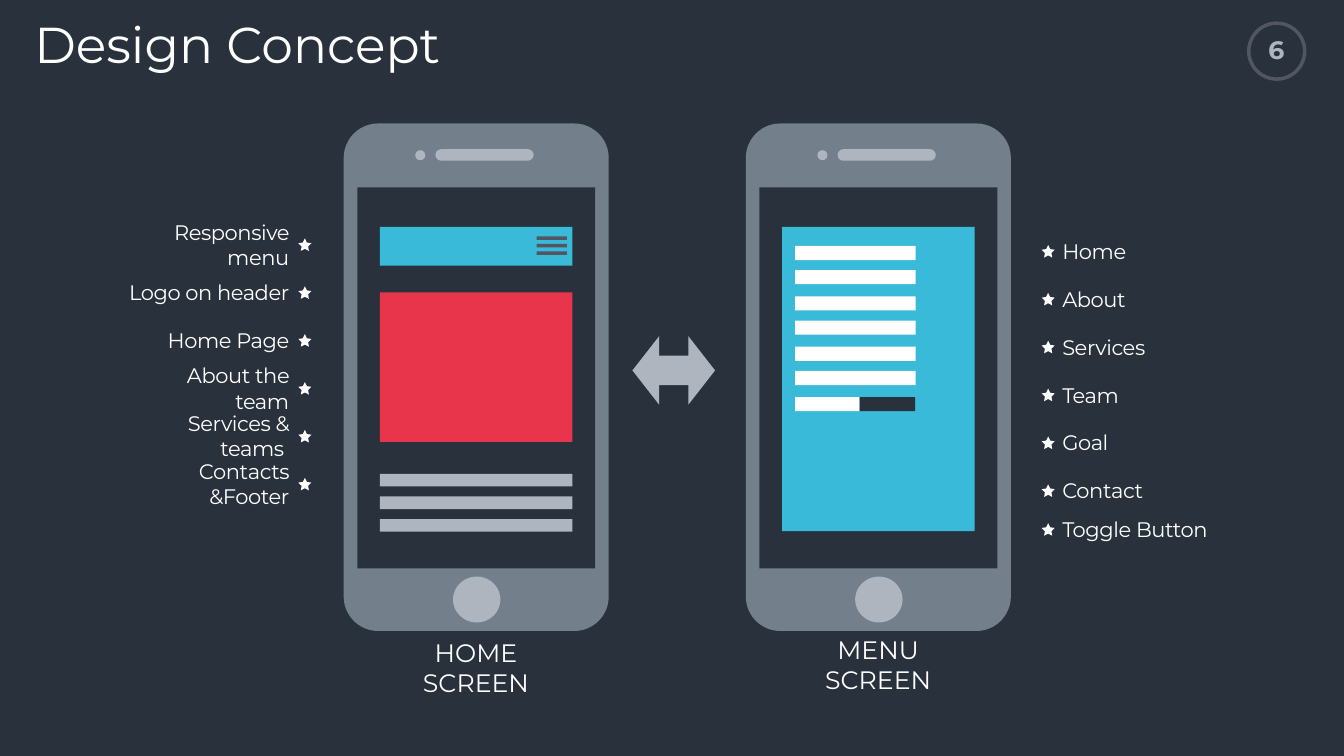
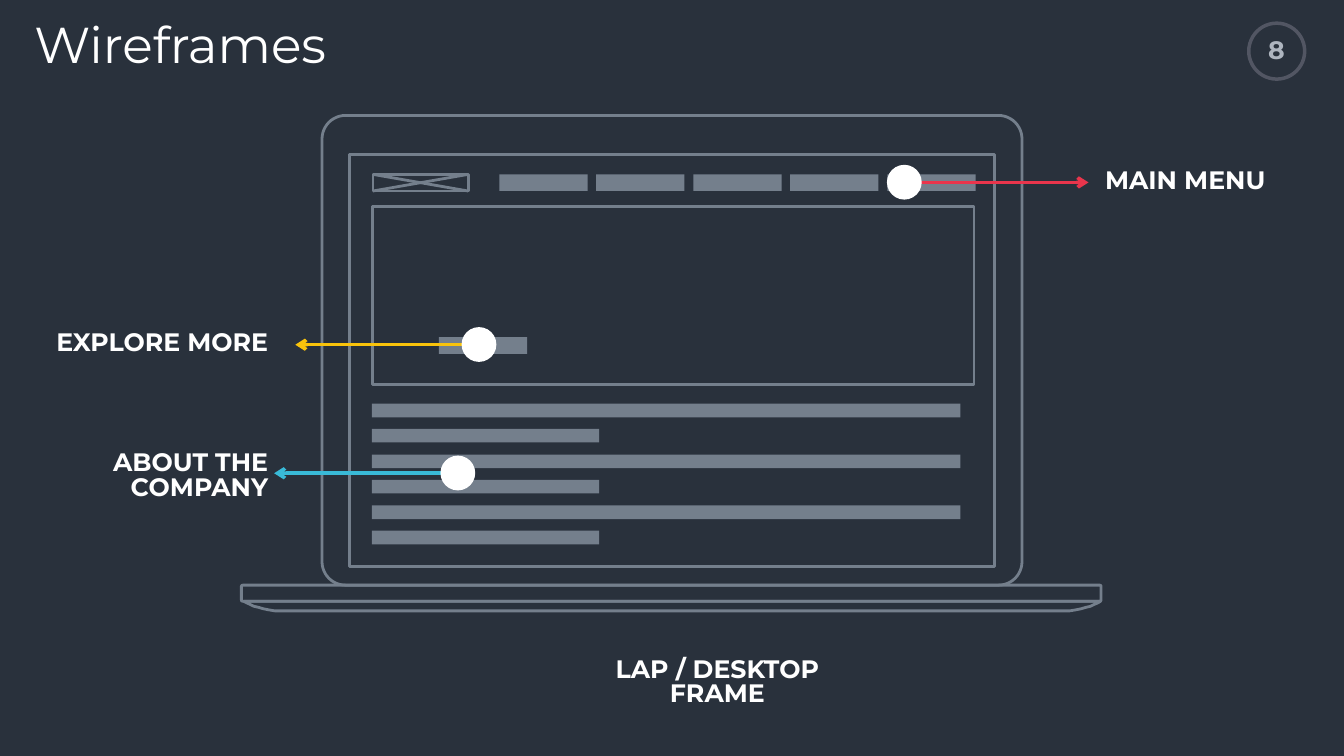
from lxml.etree import SubElement
from pptx import Presentation
from pptx.dml.color import RGBColor
from pptx.enum.shapes import MSO_CONNECTOR, MSO_SHAPE
from pptx.enum.text import MSO_ANCHOR, MSO_AUTO_SIZE, PP_ALIGN
from pptx.oxml.ns import qn
from pptx.util import Pt

EMU_PER_PX = 9144
FONT = "Montserrat"
NIGHT = RGBColor(0x29, 0x31, 0x3C)
SLATE = RGBColor(0x74, 0x7F, 0x8C)
SILVER = RGBColor(0xAE, 0xB5, 0xBF)
RING = RGBColor(0x52, 0x56, 0x63)
WHITE = RGBColor(0xFF, 0xFF, 0xFF)
RED = RGBColor(0xE9, 0x35, 0x4C)
BLUE = RGBColor(0x39, 0xBA, 0xD8)
YELLOW = RGBColor(0xF9, 0xC3, 0x0B)


def px(*lengths):
    return [length * EMU_PER_PX for length in lengths]


def style_shape(shape, fill=None, line=None, weight=4):
    shape.shadow.inherit = False
    if fill is None:
        shape.fill.background()
    else:
        shape.fill.solid()
        shape.fill.fore_color.rgb = fill
    if line is None:
        shape.line.fill.background()
    else:
        shape.line.color.rgb = line
        shape.line.width = Pt(weight)


def add_box(shapes, left, top, width, height, kind=MSO_SHAPE.RECTANGLE, adjustments=(), **style):
    shape = shapes.add_shape(kind, *px(left, top, width, height))
    for index, value in enumerate(adjustments):
        shape.adjustments[index] = value
    style_shape(shape, **style)
    return shape


def add_line(shapes, start, end, color, weight=4, arrow=False):
    connector = shapes.add_connector(MSO_CONNECTOR.STRAIGHT, *px(*start, *end))
    connector.line.color.rgb = color
    connector.line.width = Pt(weight)
    properties = connector.element.spPr
    if arrow:
        SubElement(properties.find(qn("a:ln")), qn("a:tailEnd"), type="arrow")
    SubElement(properties, qn("a:effectLst"))


def add_text(slide, text, box, size=36, color=WHITE, bold=False, align=PP_ALIGN.LEFT,
             inset=0, line_spacing=None, tracking=None, grow=False, wrap=True):
    text_box = slide.shapes.add_textbox(*px(*box))
    frame = text_box.text_frame
    frame.word_wrap = wrap
    frame.auto_size = MSO_AUTO_SIZE.SHAPE_TO_FIT_TEXT if grow else MSO_AUTO_SIZE.NONE
    frame.vertical_anchor = MSO_ANCHOR.MIDDLE
    frame.margin_left = frame.margin_right = frame.margin_top = frame.margin_bottom = px(inset)[0]
    paragraph = frame.paragraphs[0]
    paragraph.alignment = align
    if line_spacing:
        paragraph.line_spacing = line_spacing
    run = paragraph.add_run()
    run.text = text
    run.font.name = FONT
    run.font.size = Pt(size)
    run.font.bold = bold
    run.font.color.rgb = color
    if tracking:
        run.font._element.set("spc", str(tracking))


def add_label(slide, text, box, align=PP_ALIGN.LEFT):
    add_text(slide, text, box, bold=True, align=align, line_spacing=0.8, grow=True)


def add_titled_slide(presentation, title, number):
    slide = presentation.slides.add_slide(presentation.slide_layouts[6])
    add_box(slide.shapes, 2478, 46, 111, 111, MSO_SHAPE.OVAL, line=RING, weight=5)
    add_text(slide, str(number), (2499, 62, 68, 71), color=SILVER, bold=True,
             align=PP_ALIGN.CENTER, inset=6, grow=True, wrap=False)
    add_text(slide, title, (68, 46, 1442, 101), size=72, line_spacing=0.8, grow=True)
    return slide


def draw_phone(slide, left, top, caption, caption_top):
    shapes = slide.shapes
    add_box(shapes, left, top, 526, 1007, MSO_SHAPE.ROUNDED_RECTANGLE, [0.13], fill=SLATE)
    add_box(shapes, left + 142, top + 53, 20, 20, MSO_SHAPE.OVAL, fill=SILVER)
    add_box(shapes, left + 182, top + 51, 195, 23, MSO_SHAPE.ROUNDED_RECTANGLE, [0.5], fill=SILVER)
    add_box(shapes, left + 217, top + 899, 94, 91, MSO_SHAPE.OVAL, fill=SILVER)
    add_box(shapes, left + 27, top + 127, 472, 756, fill=NIGHT)
    add_text(slide, caption, (left + 106, top + caption_top, 313, 72),
             align=PP_ALIGN.CENTER, inset=6)


def draw_home_screen(shapes, left, top):
    add_box(shapes, left, top, 382, 77, fill=BLUE)
    for row in range(3):
        add_box(shapes, left + 311, top + 19 + 15 * row, 60, 7, fill=RING)
    add_box(shapes, left, top + 130, 382, 297, fill=RED)
    for row in range(3):
        add_box(shapes, left, top + 490 + 45 * row, 382, 25, fill=SILVER)


def draw_menu_screen(shapes, left, top):
    add_box(shapes, left, top, 382, 604, fill=BLUE)
    for row in range(6):
        pair, second = divmod(row, 2)
        add_box(shapes, left + 26, top + 38 + 100 * pair + 48 * second, 239, 28, fill=WHITE)
    add_box(shapes, left + 26, top + 338, 128, 28, fill=WHITE)
    add_box(shapes, left + 154, top + 338, 110, 28, fill=NIGHT)


def draw_star_list(slide, star_left, text_edge, items, align):
    for text, top, width in items:
        left = text_edge - width if align == PP_ALIGN.RIGHT else text_edge
        add_text(slide, text, (left, top, width, 58), size=30, align=align,
                 inset=6, tracking=-60)
        add_box(slide.shapes, star_left, top + 17, 26, 25, MSO_SHAPE.STAR_5_POINT,
                [0.25], fill=WHITE)


def build_design_concept(presentation):
    slide = add_titled_slide(presentation, "Design Concept", 6)
    draw_phone(slide, 682, 245, "HOME SCREEN", 1043)
    draw_home_screen(slide.shapes, 754, 450)
    draw_phone(slide, 1480, 245, "MENU SCREEN", 1037)
    draw_menu_screen(slide.shapes, 1552, 450)
    add_box(slide.shapes, 1255, 667, 164, 136, MSO_SHAPE.LEFT_RIGHT_ARROW,
            [0.43, 0.39], fill=SILVER)
    home_features = [("Responsive menu", 300), ("Logo on header", 336), ("Home Page", 325),
                     ("About the team", 326), ("Services & teams ", 325), ("Contacts &Footer", 301)]
    home_items = [(text, 456 + 95 * row, width)
                  for row, (text, width) in enumerate(home_features)]
    draw_star_list(slide, 592, 580, home_items, PP_ALIGN.RIGHT)
    menu_features = ["Home", "About", "Services", "Team", "Goal", "Contact"]
    menu_items = [(text, 469 + 95 * row, 380) for row, text in enumerate(menu_features)]
    menu_items.append(("Toggle Button", 1021, 380))
    draw_star_list(slide, 2067, 2102, menu_items, PP_ALIGN.LEFT)


def draw_foot(shapes, left, top, width, height):
    curve = []
    for step in range(9):
        t = step / 8
        x = 36 * t * (1 - t) ** 2 + 120 * t ** 2 * (1 - t) + 73 * t ** 3
        y = height * (1.26 * t * (1 - t) ** 2 + 3 * t ** 2 * (1 - t) + t ** 3)
        curve.append((x, y))
    mirrored = [(width - x, y) for x, y in reversed(curve)]
    points = [(left + x, top + y) for x, y in curve + mirrored]
    builder = shapes.build_freeform(*points[0], scale=EMU_PER_PX)
    builder.add_line_segments(points[1:], close=True)
    style_shape(builder.convert_to_shape(), line=SLATE)


def draw_laptop(shapes, left, top):
    add_box(shapes, left + 160, top, 1389, 932, MSO_SHAPE.ROUNDED_RECTANGLE, [0.05], line=SLATE)
    add_box(shapes, left, top + 932, 1706, 32, MSO_SHAPE.ROUNDED_RECTANGLE, [0.08], line=SLATE)
    draw_foot(shapes, left + 5, top + 964, 1700, 19)
    add_box(shapes, left + 215, top + 78, 1279, 817, line=SLATE)


def draw_page(shapes, left, top):
    logo_right, logo_bottom = left + 189, top + 33
    add_box(shapes, left, top, 189, 33, line=SLATE)
    add_line(shapes, (left, logo_bottom), (logo_right, top), SLATE)
    add_line(shapes, (logo_right, logo_bottom), (left, top), SLATE)
    for column in range(5):
        add_box(shapes, left + 251 + 385 * column // 2, top, 175, 33, fill=SLATE)
    add_box(shapes, left, top + 64, 1193, 353, line=SLATE)
    add_box(shapes, left + 131, top + 323, 175, 33, fill=SLATE)
    for row in range(6):
        width = 451 if row % 2 else 1168
        add_box(shapes, left - 2, top + 455 + 101 * row // 2, width, 27, fill=SLATE)


def draw_callout(slide, center, reach, color, text, label_box, align):
    x, y = center
    group = slide.shapes.add_group_shape()
    add_line(group.shapes, center, (x + reach, y), color, weight=5, arrow=True)
    add_box(group.shapes, x - 35, y - 35, 69, 69, MSO_SHAPE.OVAL, fill=WHITE)
    add_label(slide, text, label_box, align)


def build_wireframes(presentation):
    slide = add_titled_slide(presentation, "Wireframes", 8)
    draw_laptop(slide.shapes, 479, 229)
    draw_page(slide.shapes, 740, 346)
    draw_callout(slide, (1795, 362), 365, RED, "MAIN MENU",
                 (2193, 337, 361, 50), PP_ALIGN.LEFT)
    draw_callout(slide, (951, 684), -365, YELLOW, "EXPLORE MORE",
                 (103, 658, 429, 50), PP_ALIGN.RIGHT)
    draw_callout(slide, (909, 939), -365, BLUE, "ABOUT THE COMPANY",
                 (49, 921, 483, 50), PP_ALIGN.RIGHT)
    add_label(slide, "LAP / DESKTOP FRAME", (1163, 1331, 521, 50), PP_ALIGN.CENTER)


def main():
    presentation = Presentation()
    presentation.slide_width, presentation.slide_height = px(2667, 1500)
    background = presentation.slide_master.background.fill
    background.solid()
    background.fore_color.rgb = NIGHT
    build_design_concept(presentation)
    build_wireframes(presentation)
    presentation.save("out.pptx")


if __name__ == "__main__":
    main()
